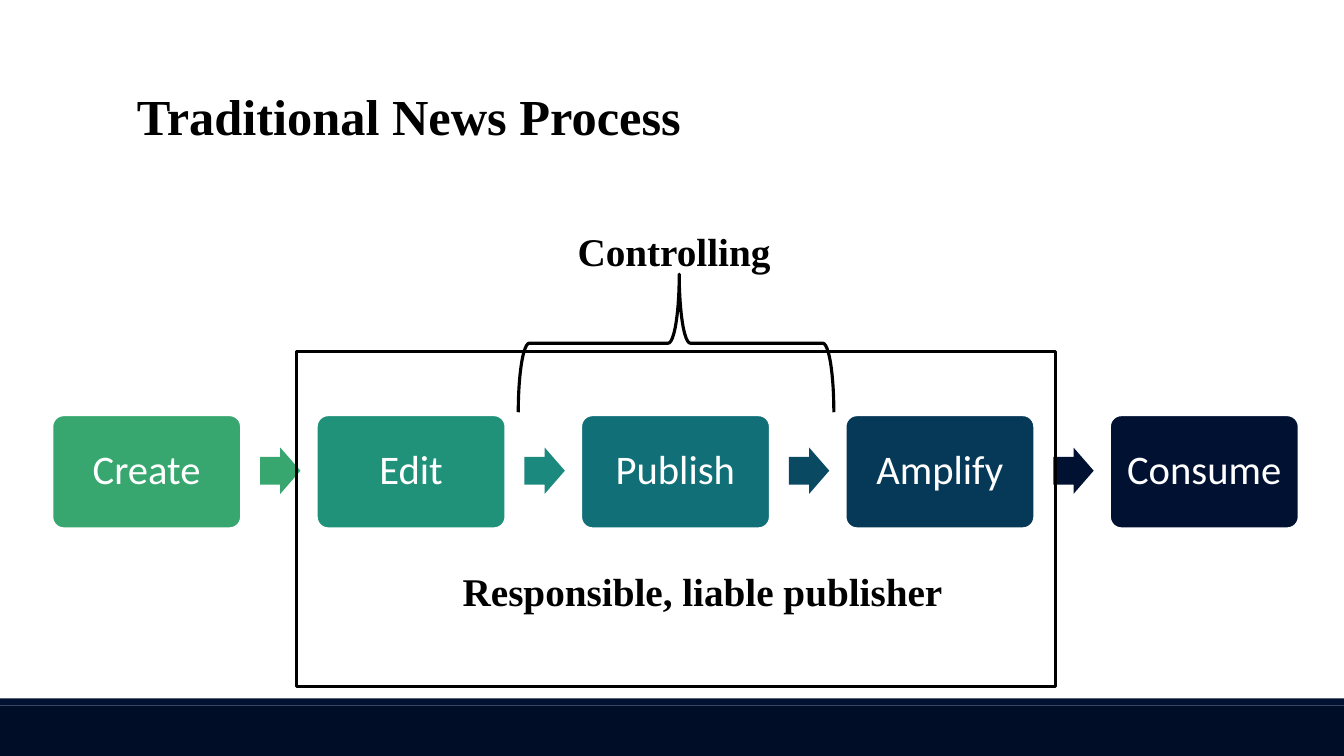
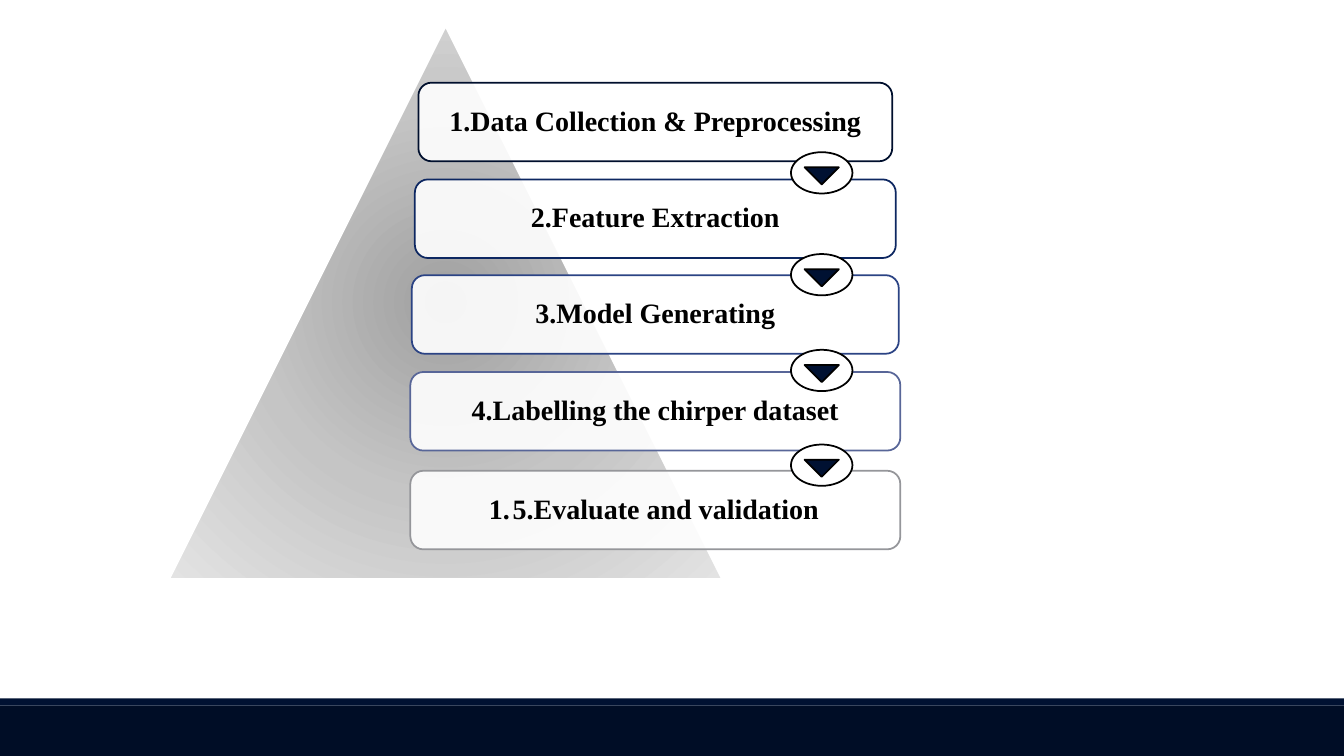
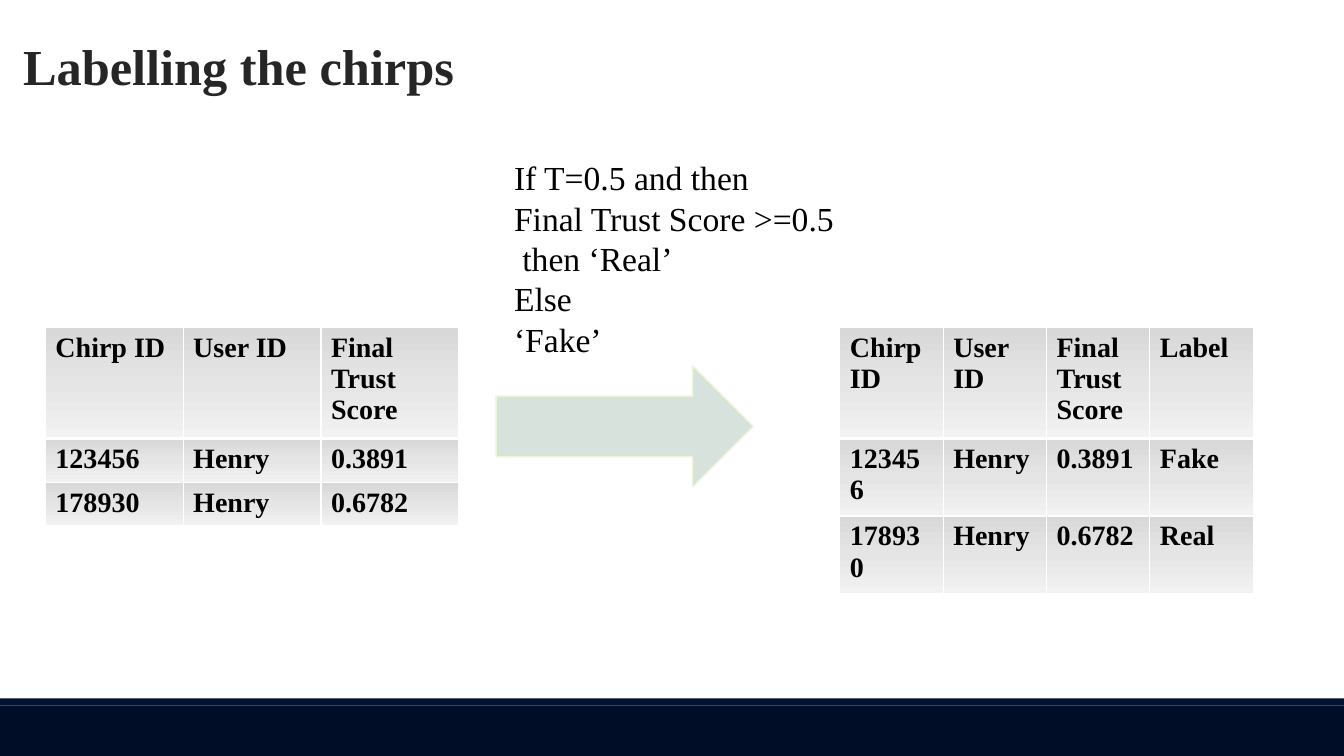
from lxml import etree
from pptx import Presentation
from pptx.dml.color import RGBColor
from pptx.enum.shapes import MSO_SHAPE
from pptx.enum.text import MSO_ANCHOR, PP_ALIGN
from pptx.oxml.ns import qn
from pptx.util import Inches, Pt

RECTANGLE = MSO_SHAPE.RECTANGLE
ROUNDED = MSO_SHAPE.ROUNDED_RECTANGLE
RIGHT_ARROW = MSO_SHAPE.RIGHT_ARROW
LEFT_BRACE = MSO_SHAPE.LEFT_BRACE
TRIANGLE = MSO_SHAPE.ISOSCELES_TRIANGLE
OVAL = MSO_SHAPE.OVAL
CENTER = PP_ALIGN.CENTER
MIDDLE = MSO_ANCHOR.MIDDLE

SERIF = "Times New Roman"
SANS = "Calibri"
BLACK = "000000"
WHITE = "FFFFFF"
NAVY = "001132"
DEEP_NAVY = "000D26"
CHARCOAL = "262626"
PYRAMID_STOPS = [(0, "A0A0A0"), (50, "C5C5C5"), (100, "E3E3E3")]
CELL_STOPS = [(0, "D8D8D8"), (50, "E5E5E5"), (100, "F2F2F2")]


def color(value):
    return RGBColor.from_string(value)


def add_element(parent, tag, **attributes):
    element = etree.SubElement(parent, qn(tag))
    for name, value in attributes.items():
        element.set(name, str(value))
    return element


def set_gradient(fill, properties, stops, radial=False):
    fill.gradient()
    gradient = properties.find(qn("a:gradFill"))
    for child in list(gradient):
        gradient.remove(child)
    stop_list = add_element(gradient, "a:gsLst")
    for position, value in stops:
        stop = add_element(stop_list, "a:gs", pos=position * 1000)
        add_element(stop, "a:srgbClr", val=value)
    if radial:
        circle = add_element(gradient, "a:path", path="circle")
        add_element(circle, "a:fillToRect", l=50000, t=50000, r=50000, b=50000)
    else:
        add_element(gradient, "a:lin", ang=5400000, scaled=0)


def set_opacity(shape, percent):
    solid = shape._element.spPr.find(qn("a:solidFill"))
    add_element(solid.find(qn("a:srgbClr")), "a:alpha", val=percent * 1000)


def add_run(paragraph, text, size, value=BLACK, font=SERIF, bold=True):
    run = paragraph.add_run()
    run.text = text
    run.font.size = Pt(size)
    run.font.name = font
    run.font.bold = bold
    run.font.color.rgb = color(value)


def add_figure(slide, kind, box, fill=None, line=None, width=1.25, adjustments=()):
    shape = slide.shapes.add_shape(kind, *map(Inches, box))
    shape.shadow.inherit = False
    for index, value in enumerate(adjustments):
        shape.adjustments[index] = value
    if fill:
        shape.fill.solid()
        shape.fill.fore_color.rgb = color(fill)
    else:
        shape.fill.background()
    if line:
        shape.line.color.rgb = color(line)
        shape.line.width = Pt(width)
    else:
        shape.line.fill.background()
    return shape


def add_label(shape, text, inset, size, **style):
    frame = shape.text_frame
    frame.word_wrap = True
    frame.vertical_anchor = MIDDLE
    frame.margin_left = frame.margin_right = Inches(inset)
    frame.margin_top = frame.margin_bottom = Inches(inset)
    paragraph = frame.paragraphs[0]
    paragraph.alignment = CENTER
    paragraph.line_spacing = 0.9
    add_run(paragraph, text, size, **style)
    return paragraph


def add_text(slide, box, lines, size, wrap=True, **style):
    frame = slide.shapes.add_textbox(*map(Inches, box)).text_frame
    frame.word_wrap = wrap
    for index, text in enumerate(lines):
        paragraph = frame.add_paragraph() if index else frame.paragraphs[0]
        add_run(paragraph, text, size, **style)


def add_title(slide, box, text, value=BLACK, wrap=True):
    add_text(slide, box, [text], 36, wrap=wrap, value=value)


def add_slide(presentation):
    slide = presentation.slides.add_slide(presentation.slide_layouts[6])
    add_figure(slide, RECTANGLE, (0, 7, 13.33, 0.5), DEEP_NAVY)
    add_figure(slide, RECTANGLE, (0, 6.93, 13.33, 0.07), NAVY)
    return slide


def style_cell(cell, text, row):
    add_run(cell.text_frame.paragraphs[0], text, 20)
    properties = cell._tc.get_or_add_tcPr()
    widths = {"L": 1, "R": 1, "T": 3 if row == 1 else 1, "B": 3 if row == 0 else 1}
    for side, width in widths.items():
        border = add_element(properties, f"a:ln{side}", w=Pt(width))
        solid = add_element(border, "a:solidFill")
        add_element(solid, "a:srgbClr", val=WHITE)
    set_gradient(cell.fill, properties, CELL_STOPS)


def add_score_table(slide, left, rows):
    heights = (0.75, 0.38, 0.38)
    width = 4.1
    frame = slide.shapes.add_table(
        len(rows), len(rows[0]),
        Inches(left), Inches(3.25), Inches(width), Inches(sum(heights)),
    )
    table = frame.table
    table.first_row = table.horz_banding = False
    for column in table.columns:
        column.width = Inches(width / len(rows[0]))
    for row, (height, texts) in enumerate(zip(heights, rows)):
        table.rows[row].height = Inches(height)
        for column, text in enumerate(texts):
            style_cell(table.cell(row, column), text, row)


def add_process_slide(presentation):
    slide = add_slide(presentation)
    stages = [
        ("Create", "37A76F", "37A76F"),
        ("Edit", "21927A", "1B897D"),
        ("Publish", "116F77", "094A62"),
        ("Amplify", "063957", NAVY),
        ("Consume", NAVY, None),
    ]
    first, last = 0.52, 11.01
    pitch = (last - first) / (len(stages) - 1)
    for index, (name, fill, arrow_fill) in enumerate(stages):
        left = first + index * pitch
        stage = add_figure(slide, ROUNDED, (left, 4.12, 1.87, 1.12), fill, WHITE,
                           adjustments=[0.1])
        add_label(stage, name, 0.12, 29, value=WHITE, font=SANS, bold=False)
        if arrow_fill:
            add_figure(slide, RIGHT_ARROW, (left + 2.06, 4.44, 0.4, 0.46), arrow_fill,
                       adjustments=[0.6, 0.5])
    add_title(slide, (1.26, 0.79, 5.65, 0.71), "Traditional News Process", wrap=False)
    add_figure(slide, RECTANGLE, (2.94, 3.49, 7.53, 3.32), line=BLACK, width=2.25)
    add_text(slide, (4.49, 5.58, 5.13, 0.57), ["Responsible, liable publisher"], 28)
    brace = add_figure(slide, LEFT_BRACE, (6.02, 1.84, 1.37, 3.13), line=BLACK,
                       width=2.25, adjustments=[0.08, 0.49])
    brace.rotation = 90
    add_text(slide, (5.63, 2.21, 2.14, 0.57), ["Controlling"], 28, wrap=False)


def add_step_badge(slide, center, top):
    width, pointer_width = 0.61, 0.34
    add_figure(slide, OVAL, (center - width / 2, top, width, 0.41), WHITE, BLACK)
    pointer = add_figure(slide, TRIANGLE,
                         (center - pointer_width / 2, top + 0.15, pointer_width, 0.17),
                         NAVY, BLACK)
    pointer.rotation = 180


def add_pipeline_slide(presentation):
    slide = add_slide(presentation)
    pyramid = add_figure(slide, TRIANGLE, (1.67, 0.25, 5.5, 5.5), line=WHITE, width=2)
    set_gradient(pyramid.fill, pyramid._element.spPr, PYRAMID_STOPS, radial=True)
    steps = [
        ("1.Data Collection & Preprocessing", 0.82, 4.7, "000F2D"),
        ("2.Feature Extraction", 1.78, 4.77, "0D2761"),
        ("3.Model Generating", 2.73, 4.83, "2B4384"),
        ("4.Labelling the chirper dataset", 3.69, 4.86, "586698"),
        ("5.Evaluate and validation", 4.67, 4.86, "95969A"),
    ]
    for text, top, width, line in steps:
        step = add_figure(slide, ROUNDED, (6.5 - width / 2, top, width, 0.78),
                          WHITE, line)
        set_opacity(step, 90)
        paragraph = add_label(step, text, 0.08, 20)
    numbering = paragraph._p.get_or_add_pPr()
    add_element(numbering, "a:buFont", typeface=SERIF)
    add_element(numbering, "a:buAutoNum", type="arabicPeriod")
    for top in (1.51, 2.52, 3.47, 4.41):
        add_step_badge(slide, 8.15, top)


def add_labelling_slide(presentation):
    slide = add_slide(presentation)
    add_title(slide, (0.13, 0.3, 13.11, 0.71), "Labelling the chirps", CHARCOAL)
    add_figure(slide, RIGHT_ARROW, (4.92, 3.63, 2.55, 1.2), "D7E2DC", "EBF5D7", 1)
    scores = [
        ["Chirp ID", "User ID", "Final Trust Score"],
        ["123456", "Henry", "0.3891"],
        ["178930", "Henry", "0.6782"],
    ]
    labels = ["Label", "Fake", "Real"]
    add_score_table(slide, 0.45, scores)
    add_score_table(slide, 8.33, [row + [label] for row, label in zip(scores, labels)])
    rule = ["If T=0.5 and then", "Final Trust Score >=0.5", " then ‘Real’", "Else", "‘Fake’"]
    add_text(slide, (5, 1.51, 3.47, 2.12), rule, 24, bold=False)


def main():
    presentation = Presentation()
    presentation.slide_width = Inches(13.33)
    presentation.slide_height = Inches(7.5)
    add_process_slide(presentation)
    add_pipeline_slide(presentation)
    add_labelling_slide(presentation)
    presentation.save("out.pptx")


if __name__ == "__main__":
    main()
